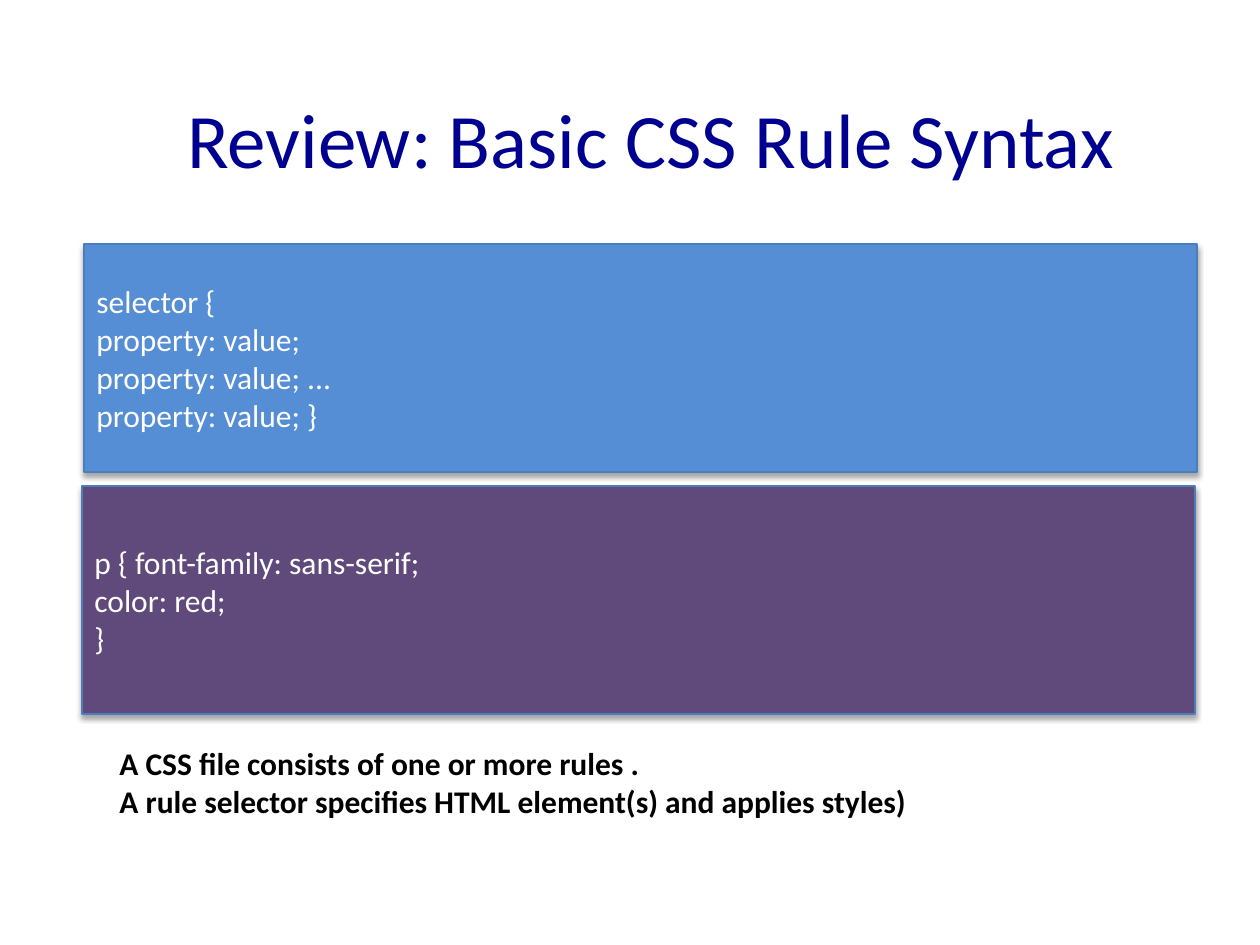
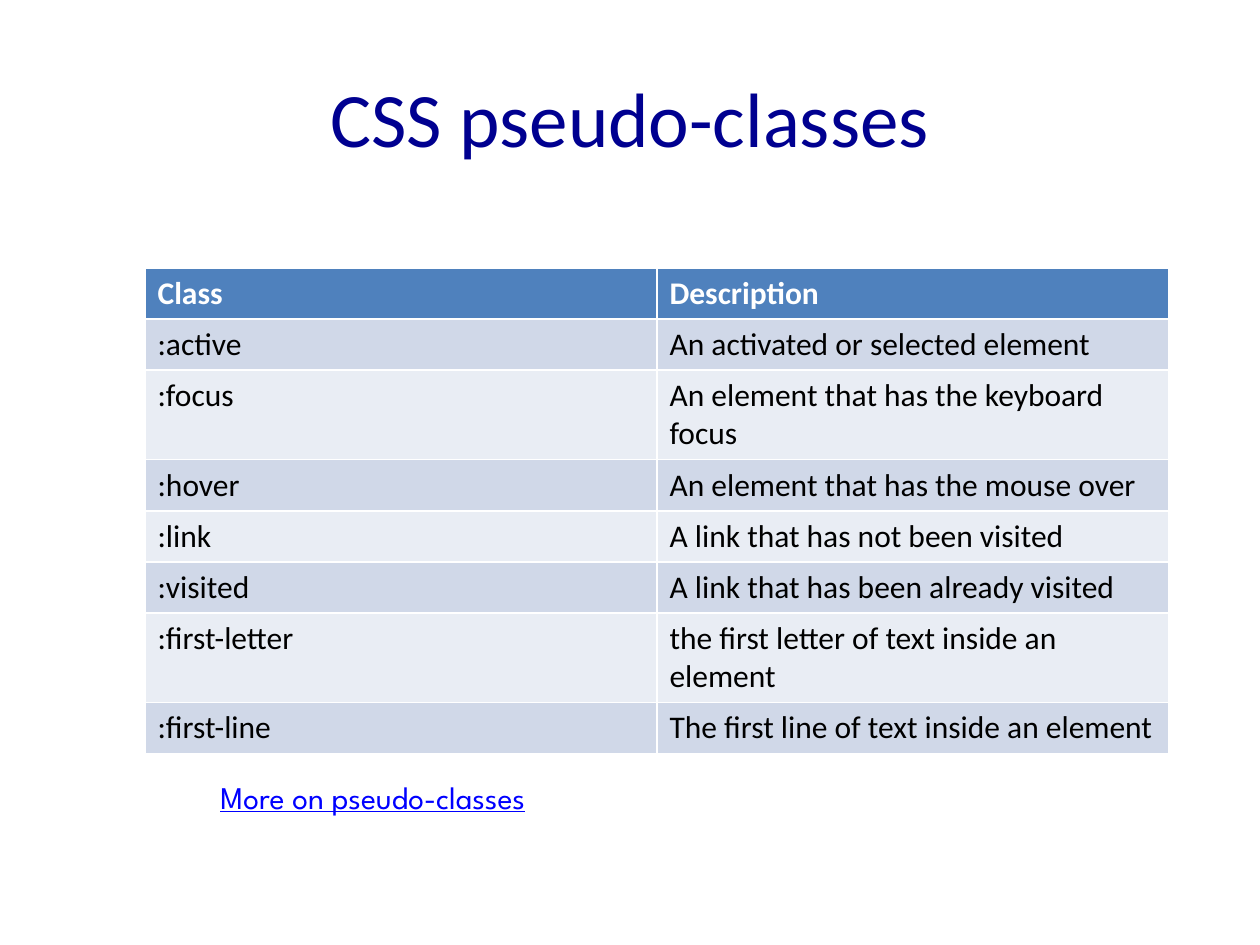
from lxml import etree
from pptx import Presentation
from pptx import util as u
from pptx.dml.color import RGBColor
from pptx.enum import shapes, text
from pptx.oxml import ns

PX = u.Inches(1) / 126
FONT, LINK_FONT = "Calibri", "League Spartan"
NAVY = RGBColor(0x00, 0x00, 0x90)
WHITE = RGBColor(0xFF, 0xFF, 0xFF)
BLACK = RGBColor(0x00, 0x00, 0x00)
LINK_BLUE = RGBColor(0x00, 0x00, 0xFF)
BOX_BLUE = RGBColor(0x55, 0x8E, 0xD5)
BOX_PURPLE = RGBColor(0x60, 0x4A, 0x7B)
BOX_EDGE = RGBColor(0x4B, 0x7E, 0xBC)
HEADER_BLUE = RGBColor(0x4F, 0x81, 0xBD)
ROW_BANDS = (RGBColor(0xE9, 0xED, 0xF4), RGBColor(0xD0, 0xD8, 0xE8))

# Boxes are left, top, width, height in px
SYNTAX_TITLE = ("Review: Basic CSS Rule Syntax", (84, 59, 1134, 158))
CODE_BOXES = [
    ((84, 244, 1113, 228), BOX_BLUE,
     ["selector {", "property: value;", "property: value; ...", "property: value; }"]),
    ((82, 486, 1113, 228), BOX_PURPLE,
     ["p { font-family: sans-serif;", "color: red;", "}"]),
]
RULE_NOTES = ["A CSS file consists of one or more rules .",
              "A rule selector specifies HTML element(s) and applies styles)"]
RULE_NOTES_BOX = (107, 738, 1053, 89)

PSEUDO_TITLE = ("CSS pseudo-classes", (63, 38, 1134, 158))
PSEUDO_CLASSES = [
    ("Class", "Description"),
    (":active", "An activated or selected element"),
    (":focus", "An element that has the keyboard focus"),
    (":hover", "An element that has the mouse over"),
    (":link", "A link that has not been visited"),
    (":visited", "A link that has been already visited"),
    (":first-letter", "the first letter of text inside an element"),
    (":first-line", "The first line of text inside an element"),
]
TABLE_LEFT, TABLE_TOP, TABLE_WIDTH, ROW_HEIGHT = 145, 268, 1024, 51
MORE_LINK = "More on pseudo-classes"
MORE_LINK_BOX = (145, 772, 397, 50)


def emu(box):
    return [round(length * PX) for length in box]


def write(frame, lines, color, size=18, font=FONT, bold=False, align=text.PP_ALIGN.LEFT):
    frame.text = "\n".join(lines)
    for paragraph in frame.paragraphs:
        paragraph.alignment = align
        paragraph.font.name = font
        paragraph.font.size = u.Pt(size)
        paragraph.font.bold = bold
        paragraph.font.color.rgb = color


def add_titled_slide(presentation, title, box):
    slide = presentation.slides.add_slide(presentation.slide_layouts[5])
    shape = slide.shapes.title
    shape.left, shape.top, shape.width, shape.height = emu(box)
    shape.text_frame.vertical_anchor = text.MSO_ANCHOR.MIDDLE
    write(shape.text_frame, [title], NAVY, size=44, align=text.PP_ALIGN.CENTER)
    return slide


def add_soft_shadow(shape):
    shape.shadow.inherit = False
    effects = shape._element.spPr.find(ns.qn("a:effectLst"))
    shadow = etree.SubElement(effects, ns.qn("a:outerShdw"), blurRad="40000",
                              dist="23000", dir="5400000", rotWithShape="0")
    color = etree.SubElement(shadow, ns.qn("a:srgbClr"), val="000000")
    etree.SubElement(color, ns.qn("a:alpha"), val="35000")


def add_code_box(slide, box, fill, lines):
    shape = slide.shapes.add_shape(shapes.MSO_SHAPE.RECTANGLE, *emu(box))
    shape.fill.solid()
    shape.fill.fore_color.rgb = fill
    shape.line.color.rgb = BOX_EDGE
    shape.line.width = u.Pt(0.75)
    add_soft_shadow(shape)
    shape.text_frame.vertical_anchor = text.MSO_ANCHOR.MIDDLE
    write(shape.text_frame, lines, WHITE)


def add_text(slide, box, lines, color, wrap=True, **style):
    frame = slide.shapes.add_textbox(*emu(box)).text_frame
    frame.word_wrap = wrap
    write(frame, lines, color, **style)
    return frame


def add_class_table(slide):
    rows, columns = len(PSEUDO_CLASSES), len(PSEUDO_CLASSES[0])
    box = (TABLE_LEFT, TABLE_TOP, TABLE_WIDTH, ROW_HEIGHT * rows)
    table = slide.shapes.add_table(rows, columns, *emu(box)).table
    for row, values in enumerate(PSEUDO_CLASSES):
        is_header = row == 0
        for column, value in enumerate(values):
            cell = table.cell(row, column)
            cell.fill.solid()
            cell.fill.fore_color.rgb = HEADER_BLUE if is_header else ROW_BANDS[row % 2]
            write(cell.text_frame, [value], WHITE if is_header else BLACK, bold=is_header)


def main():
    presentation = Presentation()
    presentation.slide_width, presentation.slide_height = u.Inches(10), u.Inches(7.5)

    syntax_slide = add_titled_slide(presentation, *SYNTAX_TITLE)
    for code_box in CODE_BOXES:
        add_code_box(syntax_slide, *code_box)
    add_text(syntax_slide, RULE_NOTES_BOX, RULE_NOTES, BLACK, bold=True)

    pseudo_slide = add_titled_slide(presentation, *PSEUDO_TITLE)
    add_class_table(pseudo_slide)
    link = add_text(pseudo_slide, MORE_LINK_BOX, [MORE_LINK], LINK_BLUE,
                    wrap=False, font=LINK_FONT).paragraphs[0]
    link.level = 1
    link.font.underline = True

    presentation.save("out.pptx")


if __name__ == "__main__":
    main()
